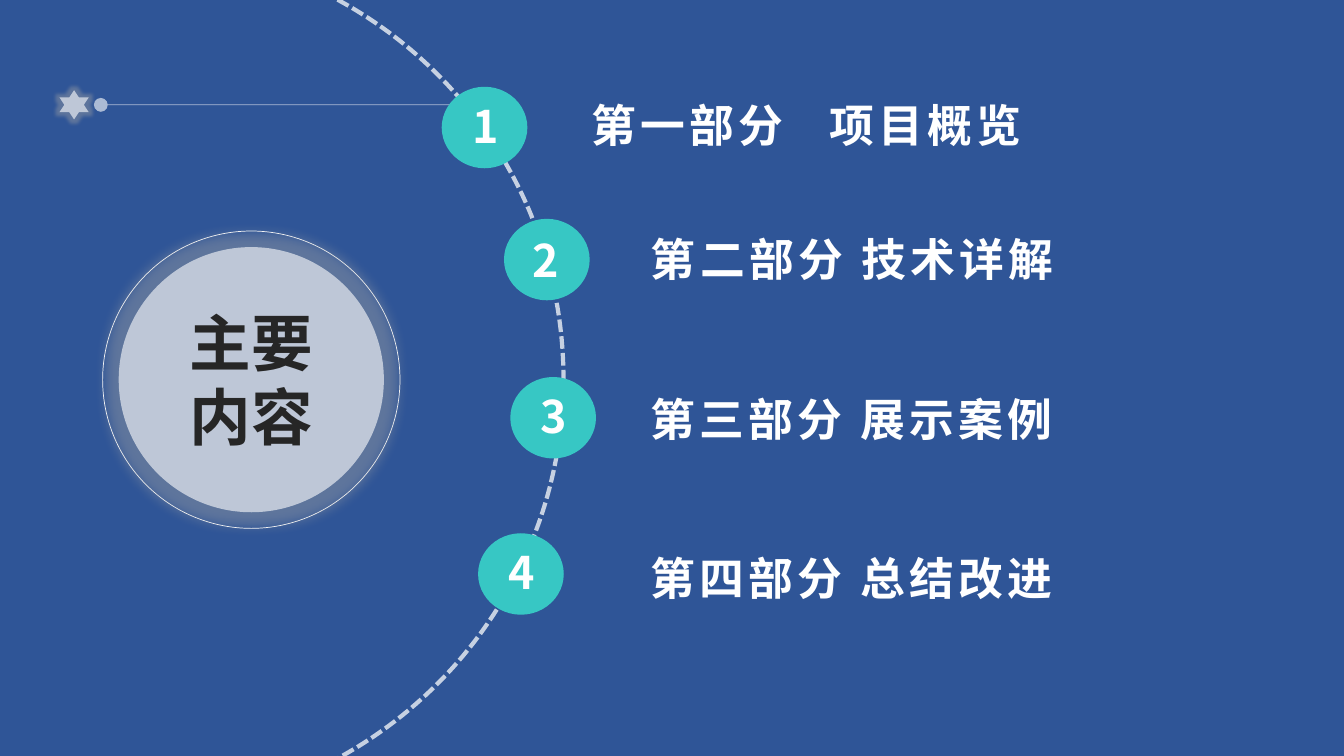
from pptx import Presentation
from pptx.dml.color import RGBColor
from pptx.enum import dml, shapes, text
from pptx.oxml import parse_xml
from pptx.oxml.ns import nsdecls, qn
from pptx.util import Pt

NAVY, WHITE, TEAL, DARK, GRAY = "2F5597", "FFFFFF", "37C7C4", "262626", "A5A5A5"
CJK = "Noto Sans CJK SC"

# number, part, topic, badge (left, top), number (left, top),
# title (centre, top), letter spacing of the gap between part and topic
AGENDA = [
    ("1", "第一部分", "项目概览", (315.5, 62), (319.7, 67), (576, 66.2), 23),
    ("2", "第二部分", "技术详解", (360, 156.3), (363, 162.7), (608.8, 162), 3),
    ("3", "第三部分", "展示案例", (364.5, 269.3), (368.6, 273.6), (608.4, 275.8), 3),
    ("4", "第四部分", "总结改进", (341.5, 380.9), (345.6, 385.2), (608.4, 389.5), 3),
]
HEADING = ["主要", "内容"]
HUB_CENTER = (179.5, 271.2)
RING_SIZE, DISC_SIZE = 212.4, 189.4
ORBIT = (-213.8, -37.4, 616.3, 616.3)
BADGE_SIZE = (61.2, 58.2)
NUMBER_SIZE = (54, 46)
TITLE_SIZE = (353, 46)
TITLE_SPACING = 3


def rgb(hex_color):
    return RGBColor.from_string(hex_color)


def set_opacity(properties, percent):
    """Set the opacity of the solid fill held by a shape's or line's properties."""
    color = properties.find(qn("a:solidFill")).find(qn("a:srgbClr"))
    color.append(parse_xml(f'<a:alpha {nsdecls("a")} val="{percent * 1000}"/>'))


def paint_line(line, color, width, opacity=100, dash=None):
    line.fill.solid()
    line.color.rgb = rgb(color)
    line.width = Pt(width)
    if dash:
        line.dash_style = dash
    if opacity < 100:
        set_opacity(line._get_or_add_ln(), opacity)


def add_figure(slide, preset, box, fill=None, opacity=100, glow=0):
    figure = slide.shapes.add_shape(preset, *map(Pt, box))
    figure.shadow.inherit = False
    figure.line.fill.background()
    if fill:
        figure.fill.solid()
        figure.fill.fore_color.rgb = rgb(fill)
        if opacity < 100:
            set_opacity(figure._element.spPr, opacity)
    else:
        figure.fill.background()
    if glow:
        effects = figure._element.spPr.find(qn("a:effectLst"))
        effects.append(parse_xml(
            f'<a:glow {nsdecls("a")} rad="{int(Pt(glow))}"><a:srgbClr val="{GRAY}">'
            '<a:alpha val="40000"/></a:srgbClr></a:glow>'))
    return figure


def add_label(slide, box, lines, size, color, font=CJK):
    """Each line is a list of (wording, letter spacing) pairs."""
    frame = slide.shapes.add_textbox(*map(Pt, box)).text_frame
    frame.word_wrap = True
    frame.vertical_anchor = text.MSO_ANCHOR.MIDDLE
    style = {"size": Pt(size), "bold": True, "name": font}
    for index, line in enumerate(lines):
        paragraph = frame.add_paragraph() if index else frame.paragraphs[0]
        paragraph.alignment = text.PP_ALIGN.CENTER
        for wording, spacing in line:
            run = paragraph.add_run()
            run.text = wording
            for key, value in style.items():
                setattr(run.font, key, value)
            run.font.color.rgb = rgb(color)
            properties = run._r.get_or_add_rPr()
            properties.append(parse_xml(f'<a:ea {nsdecls("a")} typeface="{CJK}"/>'))
            if spacing:
                properties.set("spc", str(spacing * 100))


def centered(size):
    return (HUB_CENTER[0] - size / 2, HUB_CENTER[1] - size / 2, size, size)


def add_ornament(slide):
    rule = slide.shapes.add_connector(
        shapes.MSO_CONNECTOR.STRAIGHT, Pt(360), Pt(74.9), Pt(72), Pt(74.9))
    paint_line(rule.line, WHITE, 0.5, 60)
    rule.line._get_or_add_ln().append(
        parse_xml(f'<a:tailEnd {nsdecls("a")} type="oval" w="lg" len="lg"/>'))
    rule._element.spPr.append(parse_xml(f'<a:effectLst {nsdecls("a")}/>'))
    add_figure(slide, shapes.MSO_SHAPE.STAR_6_POINT, (42.5, 64.4, 20.9, 20.9),
               WHITE, 60, glow=5)


def add_hub(slide):
    oval = shapes.MSO_SHAPE.OVAL
    ring = add_figure(slide, oval, centered(RING_SIZE))
    paint_line(ring.line, WHITE, 0.5)
    add_figure(slide, oval, centered(DISC_SIZE), WHITE, 60, glow=18)
    add_label(slide, (87.8, 213.8, 183.6, 113.8),
              [[(line, 0)] for line in HEADING], 44, DARK, "Calibri")
    orbit = add_figure(slide, oval, ORBIT)
    paint_line(orbit.line, WHITE, 3, 72, dml.MSO_LINE.SQUARE_DOT)


def add_agenda(slide):
    for number, part, topic, badge, digit, (center, top), gap in AGENDA:
        add_figure(slide, shapes.MSO_SHAPE.OVAL, badge + BADGE_SIZE, TEAL)
        add_label(slide, digit + NUMBER_SIZE, [[(number, 0)]], 32, WHITE)
        title = [(part, TITLE_SPACING), (" ", gap), (topic, TITLE_SPACING)]
        add_label(slide, (center - TITLE_SIZE[0] / 2, top) + TITLE_SIZE,
                  [title], 32, WHITE)


def main():
    deck = Presentation()
    deck.slide_width, deck.slide_height = Pt(960), Pt(540)
    slide = deck.slides.add_slide(deck.slide_layouts[6])
    slide.background.fill.solid()
    slide.background.fill.fore_color.rgb = rgb(NAVY)
    add_ornament(slide)
    add_hub(slide)
    add_agenda(slide)
    deck.save("out.pptx")


if __name__ == "__main__":
    main()
